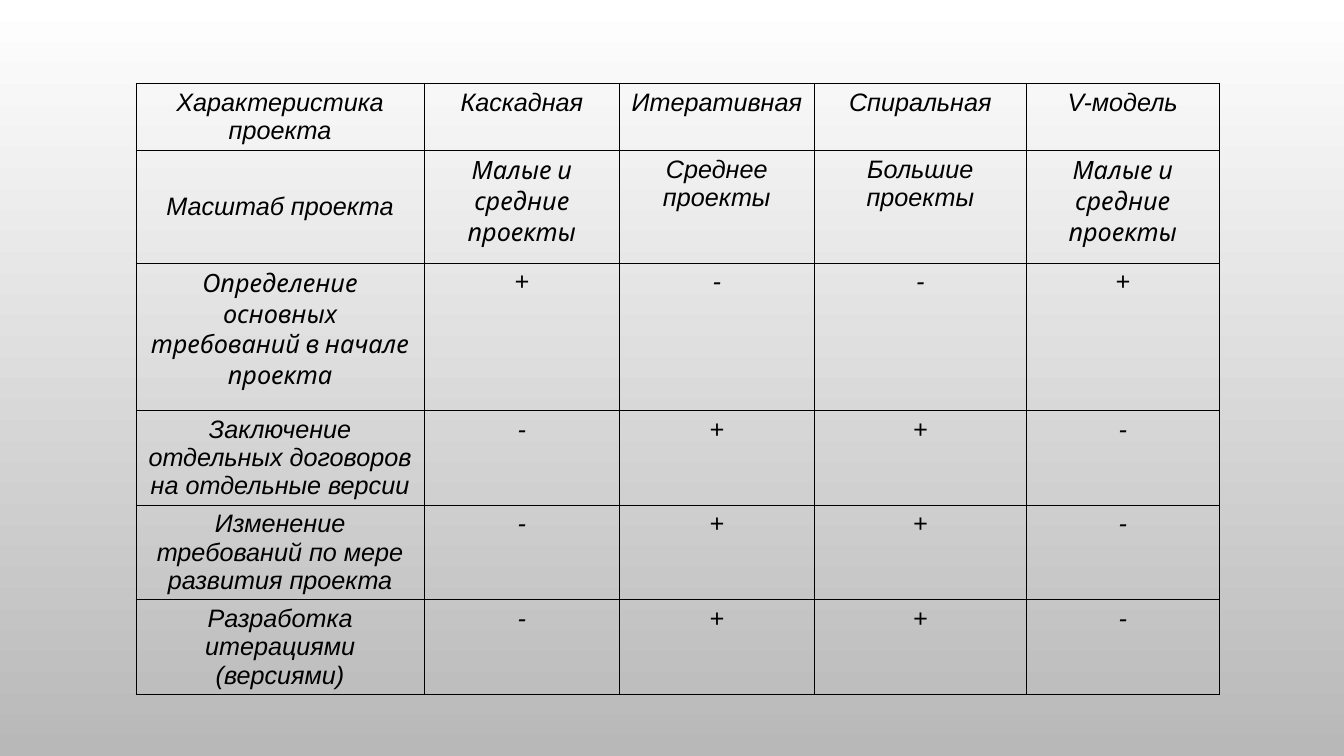
from dataclasses import dataclass

from lxml import etree
from pptx import Presentation
from pptx.dml.color import RGBColor
from pptx.enum import text
from pptx.oxml import ns
from pptx.util import Inches, Pt


@dataclass(frozen=True)
class Theme:
    """Colours, fonts and sizes of the slide."""
    ink: str = "000000"
    top: str = "FFFFFF"
    base: str = "B8B8B8"
    main: str = "Arial"
    alt: str = "Cabin"
    size: float = 18
    rule: float = 0.45


class Deck:
    """Draws styled elements on the current slide."""

    def __init__(self, theme, width, height):
        """Open a deck with one blank slide."""
        self.theme = theme
        self.prs = Presentation()
        self.prs.slide_width = Inches(width)
        self.prs.slide_height = Inches(height)
        self.slide = self.prs.slides.add_slide(self.prs.slide_layouts[6])

    def shade(self):
        """Fill the background from top to bottom."""
        fill = self.slide.background.fill
        fill.gradient()
        fill.gradient_angle = 270
        for stop, tint in zip(fill.gradient_stops, (self.theme.top, self.theme.base)):
            stop.color.rgb = RGBColor.from_string(tint)

    def frame(self, cell):
        """Rule all four sides of a cell."""
        props = cell._tc.get_or_add_tcPr()
        for side in ("lnL", "lnR", "lnT", "lnB"):
            line = etree.SubElement(props, ns.qn(f"a:{side}"), w=str(Pt(self.theme.rule)))
            fill = etree.SubElement(line, ns.qn("a:solidFill"))
            etree.SubElement(fill, ns.qn("a:srgbClr"), val=self.theme.ink)

    def label(self, cell, words, face):
        """Set the words of a cell in centred italics."""
        self.frame(cell)
        cell.fill.background()
        cell.text_frame.text = words
        para = cell.text_frame.paragraphs[0]
        para.alignment = text.PP_ALIGN.CENTER
        for run in para.runs:
            run.font.name = face
            run.font.size = Pt(self.theme.size)
            run.font.italic = True
            run.font.color.rgb = RGBColor.from_string(self.theme.ink)

    def table(self, left, top, cols, rows, data, marked):
        """Add a ruled table, with marked texts in the second font."""
        grid = self.slide.shapes.add_table(
            len(rows), len(cols), Inches(left), Inches(top),
            Inches(sum(cols)), Inches(sum(rows))).table
        grid.first_row = grid.horz_banding = False
        for col, width in zip(grid.columns, cols):
            col.width = Inches(width)
        for row, height, line in zip(grid.rows, rows, data):
            row.height = Inches(height)
            for cell, words in zip(row.cells, line):
                face = self.theme.alt if words in marked else self.theme.main
                self.label(cell, words, face)
        return grid


def main():
    """Build the table of project models."""
    deck = Deck(Theme(), 13.34, 7.5)
    deck.shade()
    small = "Малые и средние проекты"
    needs = "Определение основных требований в начале проекта"
    data = [
        ("Характеристика проекта", "Каскадная", "Итеративная", "Спиральная", "V-модель"),
        ("Масштаб проекта", small, "Среднее проекты", "Большие проекты", small),
        (needs, *"+--+"),
        ("Заключение отдельных договоров на отдельные версии", *"-++-"),
        ("Изменение требований по мере развития проекта", *"-++-"),
        ("Разработка итерациями (версиями)", *"-++-"),
    ]
    grid = deck.table(1.35, 0.83, (2.86, 1.94, 1.93, 2.11, 1.91),
                      (0.66, 1.12, 1.46, 0.94, 0.94, 0.94), data, (small, needs))
    scale = grid.cell(1, 0)
    scale.vertical_anchor = text.MSO_ANCHOR.MIDDLE
    scale.margin_left = scale.margin_right = Inches(0.06)
    deck.prs.save("out.pptx")


if __name__ == "__main__":
    main()
